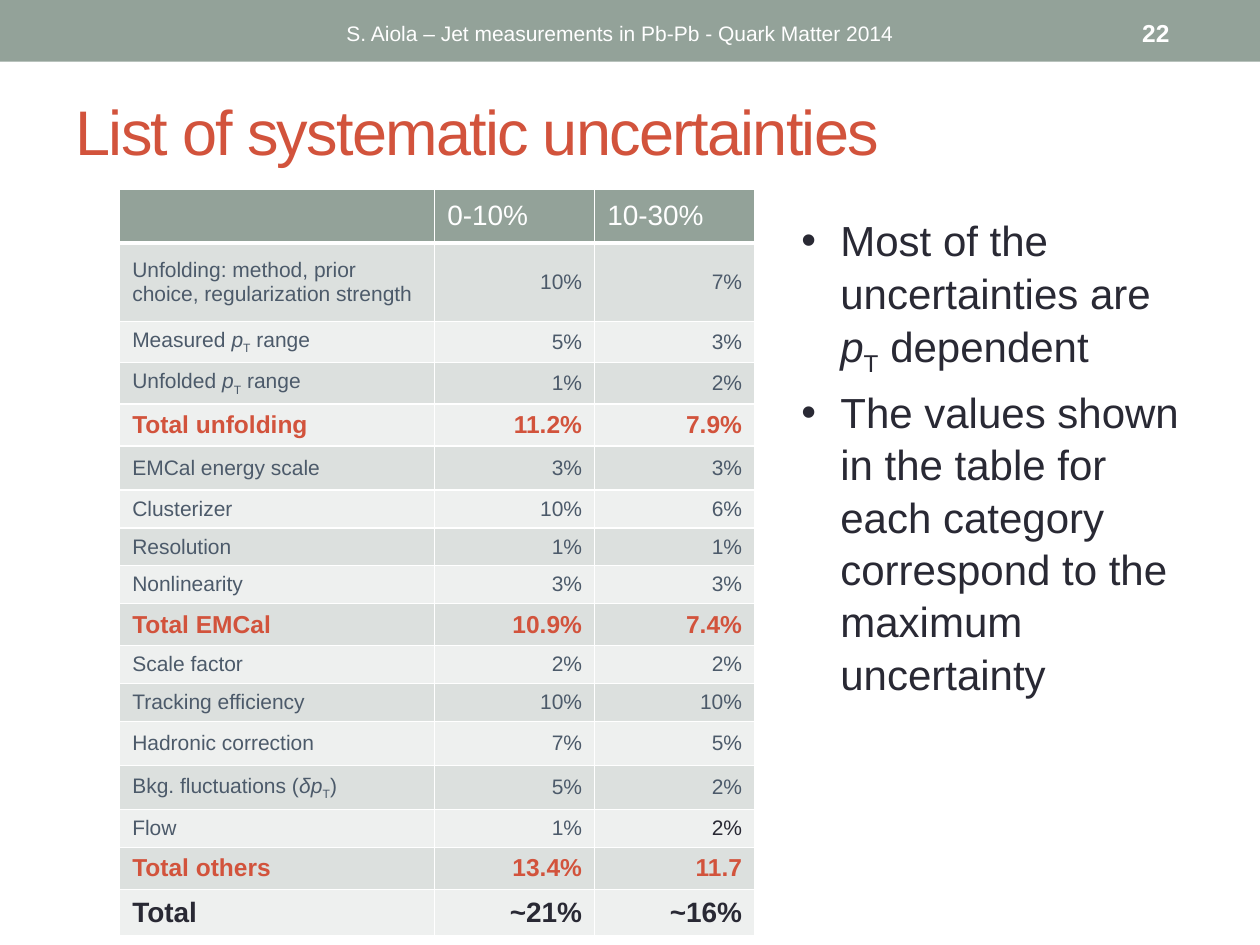
"""Build the slide listing systematic uncertainties of jet measurements."""
import dataclasses
import typing

import lxml.etree
import pptx
import pptx.dml.color
import pptx.enum.shapes
import pptx.enum.text
import pptx.oxml.ns
import pptx.util

Inches = pptx.util.Inches
ALIGN = pptx.enum.text.PP_ALIGN
MIDDLE = pptx.enum.text.MSO_ANCHOR.MIDDLE
COLORS = {"sage": "93A299", "red": "D2533C", "slate": "4C5A6A", "dark": "292934",
          "white": "FFFFFF", "odd": "DCE0DE", "even": "EEF0EF"}
FORMATS = {
    "title": {"size": 36, "color": "red"},
    "footer": {"size": 12, "color": "white"},
    "number": {"size": 14, "color": "white", "bold": True},
    "body": {"size": 24, "color": "dark"},
    "head": {"size": 16, "color": "white", "bold": False},
    "item": {"size": 12, "color": "slate", "bold": False},
    "dark": {"size": 12, "color": "dark", "bold": False},
    "sum": {"size": 14, "color": "red", "bold": True},
    "total": {"size": 16, "color": "dark", "bold": True},
}
SCRIPTS = ({}, {"italic": True}, {"base": -25}, {})


@dataclasses.dataclass
class Row:
    label: str
    central: str
    outer: str
    height: float = 0.29
    style: str = "item"
    last: str = ""


ROWS = [
    Row("", "0-10%", "10-30%", 0.43, "head"),
    Row("Unfolding: method, prior choice, regularization strength", "10%", "7%", 0.62),
    Row("Measured |p|T| range", "5%", "3%", 0.32),
    Row("Unfolded |p|T| range", "1%", "2%", 0.32),
    Row("Total unfolding", "11.2%", "7.9%", 0.32, "sum"),
    Row("EMCal energy scale", "3%", "3%", 0.35),
    Row("Clusterizer", "10%", "6%"),
    Row("Resolution", "1%", "1%"),
    Row("Nonlinearity", "3%", "3%"),
    Row("Total EMCal", "10.9%", "7.4%", 0.32, "sum"),
    Row("Scale factor", "2%", "2%"),
    Row("Tracking efficiency", "10%", "10%"),
    Row("Hadronic correction", "7%", "5%", 0.35),
    Row("Bkg. fluctuations (|δp|T|)", "5%", "2%", 0.35),
    Row("Flow", "1%", "2%", last="dark"),
    Row("Total others", "13.4%", "11.7", 0.32, "sum"),
    Row("Total", "~21%", "~16%", 0.34, "total"),
]
POINTS = [
    "Most of the uncertainties are |p|T| dependent",
    "The values shown in the table for each category correspond to the maximum uncertainty",
]


def paint(fill: typing.Any, color: str) -> None:
    fill.solid()
    fill.fore_color.rgb = pptx.dml.color.RGBColor.from_string(COLORS[color])


def write(par: typing.Any, text: str, style: str, align: typing.Any = ALIGN.LEFT) -> None:
    par.alignment = align
    for part, script in zip(text.split("|"), SCRIPTS):
        run = par.add_run()
        run.text = part
        run.font.name = "Arial"
        for key, value in {**FORMATS[style], **script}.items():
            if key == "color":
                paint(run.font.fill, value)
            elif key == "base":
                run._r.get_or_add_rPr().set("baseline", str(value * 1000))
            else:
                setattr(run.font, key, pptx.util.Pt(value) if key == "size" else value)


def place(shape: typing.Any, *box: float) -> None:
    for key, value in zip(("left", "top", "width", "height"), box):
        setattr(shape, key, Inches(value))


def label(slide: typing.Any, box: tuple, text: str, style: str, align: typing.Any) -> None:
    frame = slide.shapes.add_textbox(*map(Inches, box)).text_frame
    frame.word_wrap = True
    frame.vertical_anchor = MIDDLE
    write(frame.paragraphs[0], text, style, align)


def border(cell: typing.Any, bottom: float) -> None:
    props = cell._tc.get_or_add_tcPr()
    for side, width in {"L": 1, "R": 1, "T": 1, "B": bottom}.items():
        line = lxml.etree.SubElement(props, pptx.oxml.ns.qn(f"a:ln{side}"),
                                     w=str(pptx.util.Pt(width)))
        fill = lxml.etree.SubElement(line, pptx.oxml.ns.qn("a:solidFill"))
        lxml.etree.SubElement(fill, pptx.oxml.ns.qn("a:srgbClr"), val=COLORS["white"])


def fill_row(table: typing.Any, index: int, row: Row) -> None:
    table.rows[index].height = Inches(row.height)
    head = index == 0
    shade = "sage" if head else ("even", "odd")[index % 2]
    for col, text in enumerate((row.label, row.central, row.outer)):
        cell = table.cell(index, col)
        border(cell, 3 if head else 1)
        paint(cell.fill, shade)
        cell.vertical_anchor = MIDDLE
        style = row.last if col == 2 and row.last else row.style
        align = ALIGN.LEFT if head or col == 0 else ALIGN.RIGHT
        if text:
            write(cell.text_frame.paragraphs[0], text, style, align)


def main() -> None:
    deck = pptx.Presentation()
    deck.slide_width, deck.slide_height = Inches(10), Inches(7.5)
    slide = deck.slides.add_slide(deck.slide_layouts[1])
    title, body = slide.placeholders

    band = slide.shapes.add_shape(pptx.enum.shapes.MSO_SHAPE.RECTANGLE,
                                  0, 0, Inches(10), Inches(0.49))
    band.shadow.inherit = False
    paint(band.fill, "sage")
    band.line.fill.background()
    label(slide, (0.5, 0.08, 8.89, 0.36),
          "S. Aiola – Jet measurements in Pb-Pb - Quark Matter 2014 ", "footer", ALIGN.CENTER)
    label(slide, (8.33, 0.08, 1.05, 0.36), "22", "number", ALIGN.RIGHT)

    place(title, 0.5, 0.7, 9, 0.67)
    place(body, 6.26, 1.64, 3.24, 3.74)
    for shape in (title, body):
        shape.text_frame.auto_size = pptx.enum.text.MSO_AUTO_SIZE.NONE
    title.text_frame.vertical_anchor = MIDDLE
    head = title.text_frame.paragraphs[0]
    write(head, "List of systematic uncertainties", "title")
    head.runs[0]._r.get_or_add_rPr().set("spc", "-100")

    for index, text in enumerate(POINTS):
        frame = body.text_frame
        par = frame.add_paragraph() if index else frame.paragraphs[0]
        props = par._p.get_or_add_pPr()
        for key, value in {"marL": 0.31, "indent": -0.31}.items():
            props.set(key, str(Inches(value)))
        par.line_spacing = 1.04
        par.space_before = pptx.util.Pt(4 if index else 0)
        write(par, text, "body")

    high = sum(row.height for row in ROWS)
    table = slide.shapes.add_table(len(ROWS), 3, *map(Inches, (0.95, 1.5, 5.04, high))).table
    for col, width in zip(table.columns, (2.5, 1.27, 1.27)):
        col.width = Inches(width)
    for index, row in enumerate(ROWS):
        fill_row(table, index, row)

    deck.save("out.pptx")


if __name__ == "__main__":
    main()
